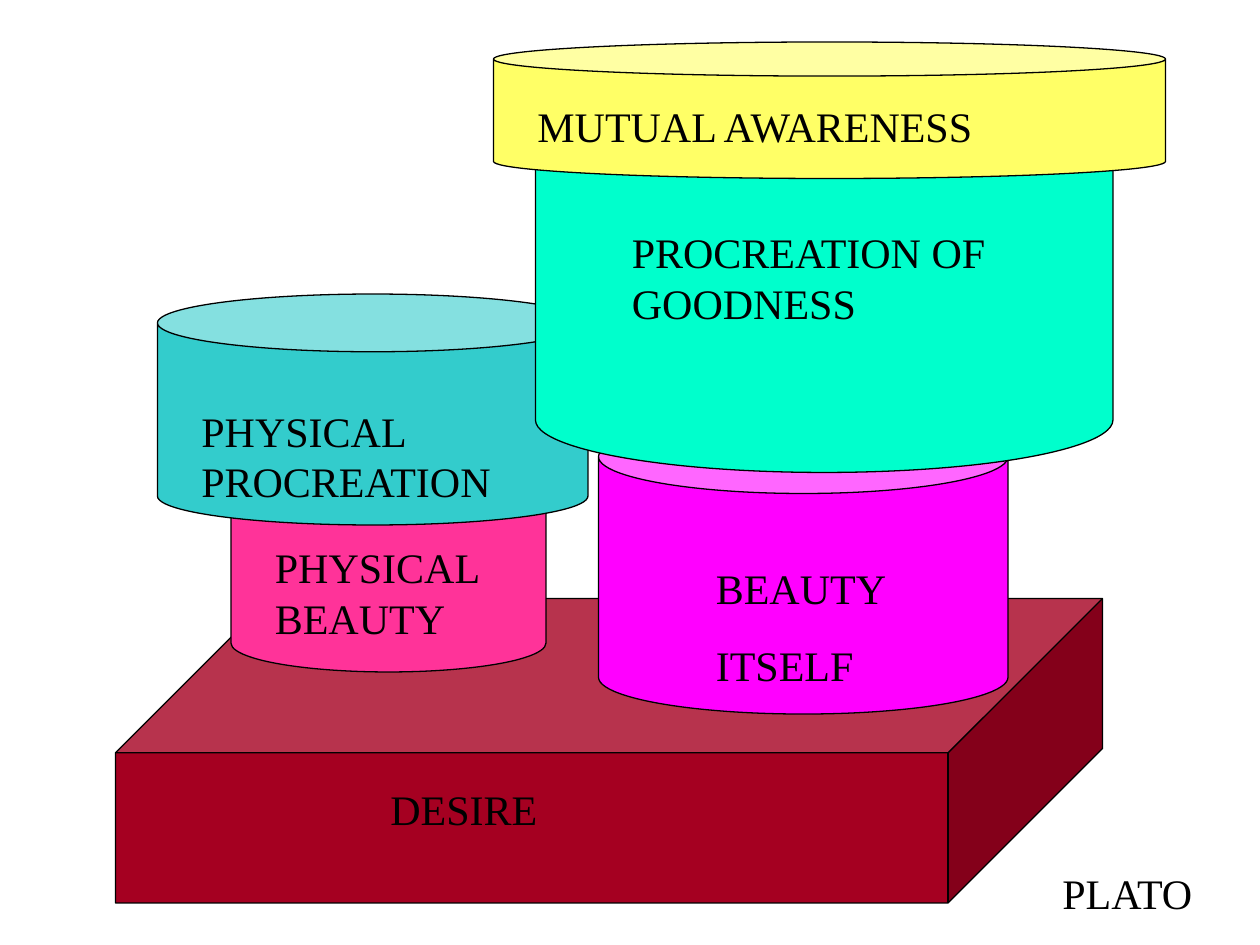
from dataclasses import dataclass

from pptx import Presentation
from pptx import util as u
from pptx.dml.color import RGBColor
from pptx.enum import shapes, text

CAN = shapes.MSO_SHAPE.CAN
CUBE = shapes.MSO_SHAPE.CUBE
BLACK = "000000"
LABEL_FONT = {"name": "Times New Roman", "size": u.Pt(24)}
LABEL_FRAME = {"word_wrap": True, "auto_size": text.MSO_AUTO_SIZE.SHAPE_TO_FIT_TEXT}


@dataclass
class Box:
    left: float
    top: float
    width: float
    height: float

    def lengths(self) -> list[u.Pt]:
        return [u.Pt(v) for v in (self.left, self.top, self.width, self.height)]


@dataclass
class Solid:
    box: Box
    fill: str
    kind: shapes.MSO_SHAPE = CAN
    adjustment: float = 0.25


@dataclass
class Label:
    box: Box
    lines: tuple[str, ...]


def color(value: str) -> RGBColor:
    return RGBColor.from_string(value)


def apply_format(target, values: dict) -> None:
    for name, value in values.items():
        setattr(target, name, value)


def draw_solid(slide, solid: Solid) -> None:
    shape = slide.shapes.add_shape(solid.kind, *solid.box.lengths())
    shape.adjustments[0] = solid.adjustment
    shape.shadow.inherit = False
    shape.fill.solid()
    shape.fill.fore_color.rgb = color(solid.fill)
    shape.line.color.rgb = color(BLACK)
    shape.line.width = u.Pt(0.75)


def draw_label(slide, label: Label) -> None:
    frame = slide.shapes.add_textbox(*label.box.lengths()).text_frame
    apply_format(frame, LABEL_FRAME)
    for index, line in enumerate(label.lines):
        paragraph = frame.add_paragraph() if index else frame.paragraphs[0]
        paragraph.space_before = u.Pt(15 if index else 0)
        run = paragraph.add_run()
        run.text = line
        apply_format(run.font, LABEL_FONT)
        run.font.color.rgb = color(BLACK)


# Solids and their labels, from back to front
PARTS = [
    # Base
    Solid(Box(66, 342, 564, 174), "A50021", CUBE, 0.507),
    Label(Box(216, 444, 204, 36), ("DESIRE",)),
    # Left column, lower; right column, lower
    Solid(Box(132, 252, 180, 132), "FF3399"),
    Label(Box(150, 306, 150, 64.8), ("PHYSICAL BEAUTY",)),
    Solid(Box(342, 240, 234, 168), "FF00FF"),
    Label(Box(402, 318, 114, 79.8), ("BEAUTY", "ITSELF")),
    # Left column, upper; right column, middle
    Solid(Box(90, 168, 246, 132), "33CCCC"),
    Label(Box(108, 228, 258, 64.8), ("PHYSICAL PROCREATION",)),
    Solid(Box(306, 30, 330, 240), "00FFCC"),
    Label(Box(354, 126, 246, 64.8), ("PROCREATION OF GOODNESS",)),
    # Attribution
    Label(Box(600, 492, 120, 36), ("PLATO",)),
    # Right column, top
    Solid(Box(282, 24, 384, 78), "FFFF66"),
    Label(Box(300, 54, 348, 36), ("MUTUAL AWARENESS",)),
]


def main() -> None:
    presentation = Presentation()
    presentation.slide_width = u.Pt(720)
    presentation.slide_height = u.Pt(540)
    slide = presentation.slides.add_slide(presentation.slide_layouts[6])
    for part in PARTS:
        if isinstance(part, Solid):
            draw_solid(slide, part)
        else:
            draw_label(slide, part)
    presentation.save("out.pptx")


if __name__ == "__main__":
    main()
